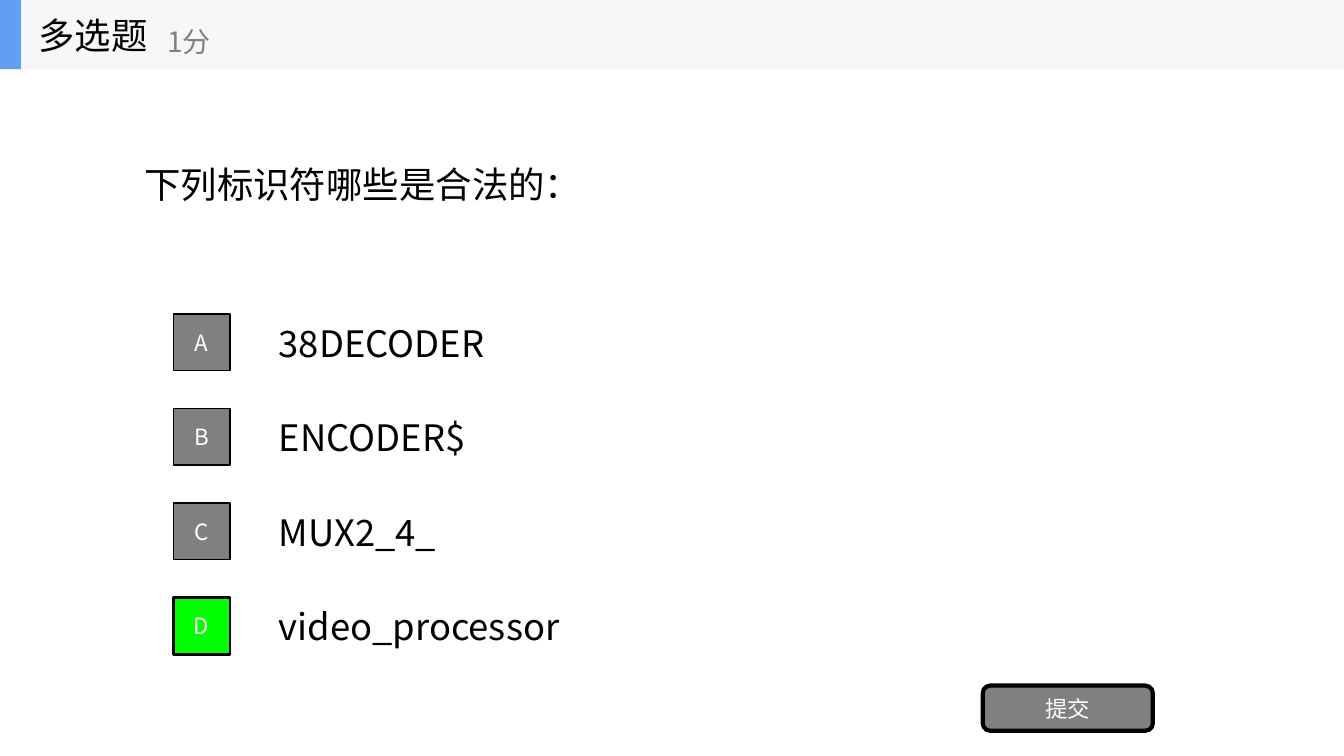
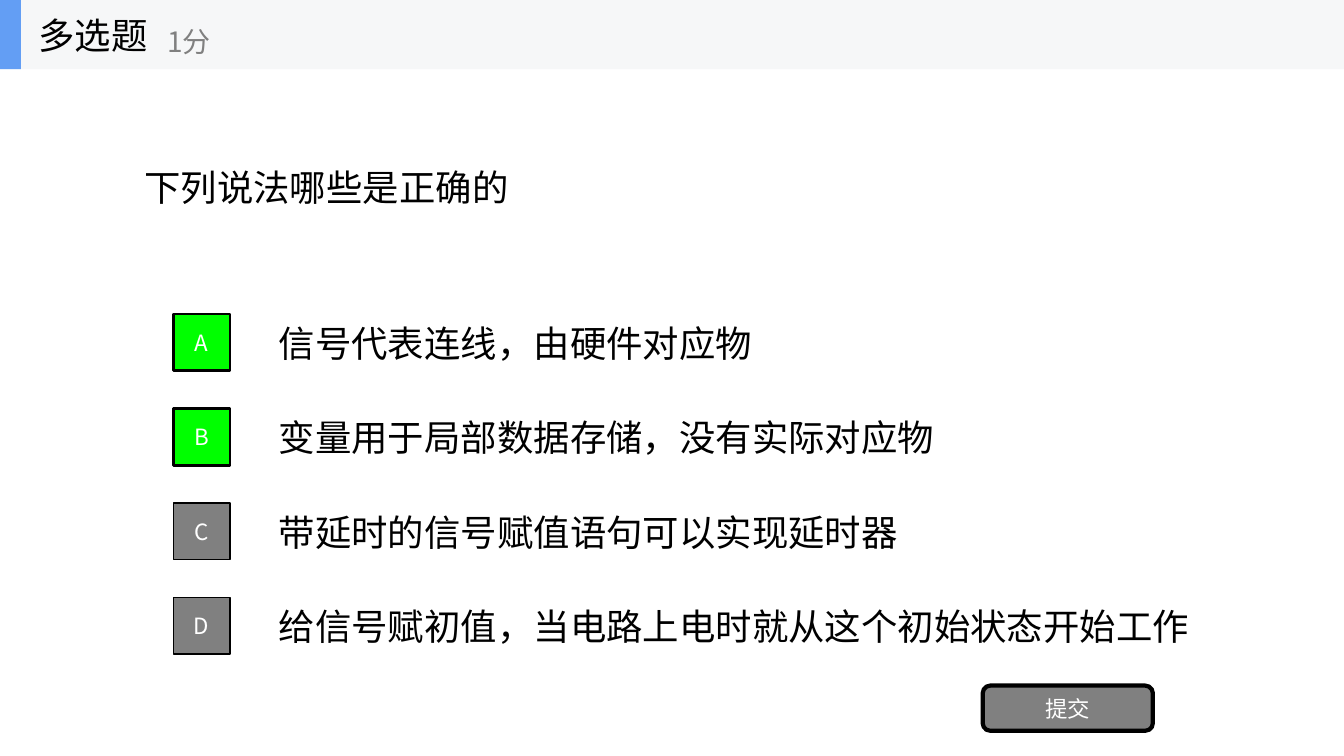
from dataclasses import dataclass
from typing import Optional

import pptx
import pptx.dml.color
import pptx.enum.shapes
import pptx.enum.text
import pptx.oxml.ns
import pptx.shapes.base
import pptx.slide
import pptx.util
from lxml import etree

EMU_PER_PX = 9525
RECTANGLE = pptx.enum.shapes.MSO_SHAPE.RECTANGLE
ROUNDED = pptx.enum.shapes.MSO_SHAPE.ROUNDED_RECTANGLE


@dataclass(frozen=True)
class Theme:
    font: str = "Noto Sans CJK SC"
    ink: str = "000000"
    muted: str = "808080"
    light: str = "FFFFFF"
    correct: str = "00FF00"
    band: str = "F6F7F8"
    accent: str = "639EF4"
    body_size: int = 26
    score_size: int = 20
    button_size: int = 16


@dataclass(frozen=True)
class Box:
    left: int
    top: int
    width: int
    height: int

    def emu(self) -> list[int]:
        return [length * EMU_PER_PX for length in (self.left, self.top, self.width, self.height)]

    def down(self, distance: int) -> "Box":
        return Box(self.left, self.top + distance, self.width, self.height)


@dataclass(frozen=True)
class Option:
    text: str
    correct: bool = False


@dataclass(frozen=True)
class Question:
    text: str
    height: int
    options: tuple[Option, ...]


THEME = Theme()
PAGE = Box(0, 0, 1280, 720)
BAND = Box(0, 0, PAGE.width, 66)
ACCENT = Box(0, 0, 20, BAND.height)
TITLE = Box(27, 0, 200, BAND.height)
SCORE = Box(150, 12, 240, 54)
OPTION_TEXT = Box(256, 293, 896, 67)
OPTION_KEY = Box(165, 299, 54, 54)
OPTION_PITCH = 90
SUBMIT = Box(936, 653, 162, 43)

QUESTIONS = (
    Question("下列标识符哪些是合法的：", 219, (
        Option("38DECODER"),
        Option("ENCODER$"),
        Option("MUX2_4_"),
        Option("video_processor", True),
    )),
    Question("下列说法哪些是正确的", 225, (
        Option("信号代表连线，由硬件对应物", True),
        Option("变量用于局部数据存储，没有实际对应物", True),
        Option("带延时的信号赋值语句可以实现延时器"),
        Option("给信号赋初值，当电路上电时就从这个初始状态开始工作"),
    )),
)


def rgb(color: str) -> pptx.dml.color.RGBColor:
    return pptx.dml.color.RGBColor.from_string(color)


def write(shape: pptx.shapes.base.BaseShape, text: str, size: int, color: str,
          centred: bool = False) -> None:
    frame = shape.text_frame
    frame.text = text
    frame.word_wrap = True
    frame.vertical_anchor = pptx.enum.text.MSO_ANCHOR.MIDDLE
    paragraph = frame.paragraphs[0]
    alignment = pptx.enum.text.PP_ALIGN
    paragraph.alignment = alignment.CENTER if centred else alignment.LEFT
    for run in paragraph.runs:
        run.font.size = pptx.util.Pt(size)
        run.font.name = THEME.font
        run.font.color.rgb = rgb(color)
        east_asian = etree.SubElement(run._r.get_or_add_rPr(), pptx.oxml.ns.qn("a:ea"))
        east_asian.set("typeface", THEME.font)


def add_text(shapes, box: Box, text: str, size: int = THEME.body_size,
             color: str = THEME.ink) -> None:
    write(shapes.add_textbox(*box.emu()), text, size, color)


def add_block(shapes, box: Box, fill: str, kind=RECTANGLE,
              line_width: Optional[int] = None) -> pptx.shapes.base.BaseShape:
    shape = shapes.add_shape(kind, *box.emu())
    shape.shadow.inherit = False
    shape.fill.solid()
    shape.fill.fore_color.rgb = rgb(fill)
    if line_width is None:
        shape.line.fill.background()
    else:
        shape.line.color.rgb = rgb(THEME.ink)
        shape.line.width = pptx.util.Pt(line_width)
    return shape


def add_button(shapes, box: Box, text: str, fill: str, line_width: int, kind=RECTANGLE) -> None:
    shape = add_block(shapes, box, fill, kind, line_width)
    write(shape, text, THEME.button_size, THEME.light, centred=True)


def add_header(slide: pptx.slide.Slide) -> None:
    shapes = slide.shapes.add_group_shape().shapes
    add_block(shapes, BAND, THEME.band)
    add_block(shapes, ACCENT, THEME.accent)
    add_text(shapes, TITLE, "多选题")
    add_text(shapes, SCORE, "1分", THEME.score_size, THEME.muted)


def add_option(slide: pptx.slide.Slide, row: int, option: Option) -> None:
    offset = row * OPTION_PITCH
    add_text(slide.shapes, OPTION_TEXT.down(offset), option.text)
    fill, line_width = (THEME.correct, 2) if option.correct else (THEME.muted, 1)
    add_button(slide.shapes, OPTION_KEY.down(offset), "ABCD"[row], fill, line_width)


def add_question(presentation, question: Question) -> None:
    slide = presentation.slides.add_slide(presentation.slide_layouts[6])
    add_text(slide.shapes, Box(128, BAND.height, 1024, question.height), question.text)
    for row, option in enumerate(question.options):
        add_option(slide, row, option)
    add_button(slide.shapes, SUBMIT, "提交", THEME.muted, 3, ROUNDED)
    add_header(slide)


def main() -> None:
    presentation = pptx.Presentation()
    presentation.slide_width, presentation.slide_height = PAGE.emu()[2:]
    for question in QUESTIONS:
        add_question(presentation, question)
    presentation.save("out.pptx")


if __name__ == "__main__":
    main()
